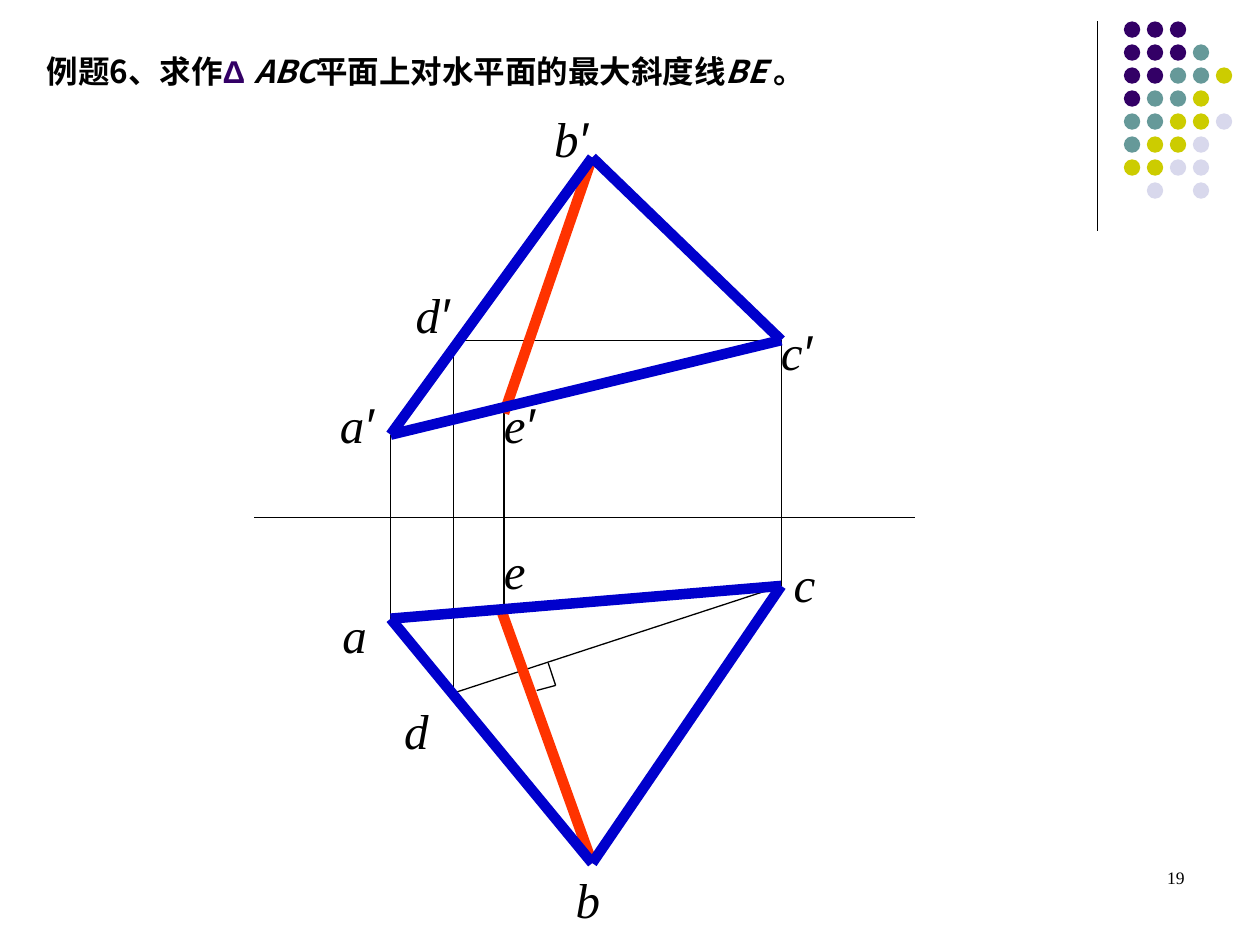
from lxml import etree
from pptx import Presentation
from pptx.dml.color import RGBColor
from pptx.enum import shapes, text
from pptx.oxml.ns import qn
from pptx.util import Inches, Pt

BLACK = RGBColor(0x00, 0x00, 0x00)
PURPLE = RGBColor(0x33, 0x00, 0x66)
TEAL = RGBColor(0x66, 0x99, 0x99)
LIME = RGBColor(0xCC, 0xCC, 0x00)
LAVENDER = RGBColor(0xD8, 0xD8, 0xEC)
BLUE = RGBColor(0x00, 0x00, 0xCC)
RED = RGBColor(0xFF, 0x33, 0x00)

SERIF, SANS, CJK = "Times New Roman", "Arial", "Noto Sans CJK SC"

DOT_COLORS = {"P": PURPLE, "T": TEAL, "Y": LIME, "L": LAVENDER}
DOT_ROWS = ["PPP", "PPPT", "PPTTY", "PTTY", "TTYYL", "TYYL", "YYLL", " L L"]

TITLE_RUNS = [
    ("例题6、求作", CJK, BLACK, False),
    ("Δ ", SANS, PURPLE, False),
    ("ABC", CJK, BLACK, True),
    ("平面上对水平面的最大斜度线", CJK, BLACK, False),
    ("BE ", CJK, BLACK, True),
    ("。", CJK, BLACK, False),
]

# Inches from the top left corner of the projection drawing
POINTS = {
    "a′": (1.1, 2.65), "b′": (2.7, 0.45), "c′": (4.2, 1.9),
    "d′": (1.6, 1.9), "e′": (2, 2.48),
    "a": (1.1, 4.11), "b": (2.7, 6.05), "c": (4.2, 3.85),
    "d": (1.6, 4.7), "e": (1.97, 4.02),
}
LABELS = {
    "a′": (0.6, 2.28), "b′": (2.3, 0.01), "c′": (4.1, 1.7),
    "d′": (1.2, 1.41), "e′": (1.9, 2.28),
    "a": (0.62, 3.95), "b": (2.47, 6.05), "c": (4.2, 3.54),
    "d": (1.11, 4.71), "e": (1.9, 3.44),
}
CONSTRUCTION = [("d", "c"), ("d′", "c′"), ("d′", "d"), ("a′", "a"), ("c′", "c")]
STEEPEST = [("e′", "b′"), ("b", "e")]
TRIANGLES = [("a′", "b′"), ("b′", "c′"), ("a′", "c′"),
             ("a", "b"), ("b", "c"), ("a", "c")]
GROUND_LINE = [(0.02, 3.31), (5.26, 3.31)]
E_PROJECTOR = [(2, 2.38), (2, 4.02)]
RIGHT_ANGLE = [(2.35, 4.46), (2.41, 4.64), (2.26, 4.68)]


def add_segment(slide, start, end, color=BLACK, width=0.75):
    segment = slide.shapes.add_connector(
        shapes.MSO_CONNECTOR.STRAIGHT, *start, *end)
    segment.line.color.rgb = color
    segment.line.width = Pt(width)
    etree.SubElement(segment._element.spPr, qn("a:effectLst"))


def add_text_box(slide, left, top, width, height):
    box = slide.shapes.add_textbox(left, top, width, height)
    box.text_frame.word_wrap = True
    return box.text_frame


def add_title(slide, left, top, width, height):
    title = slide.shapes.title
    title.left, title.top, title.width, title.height = left, top, width, height
    frame = title.text_frame
    frame.word_wrap = False
    frame.auto_size = text.MSO_AUTO_SIZE.SHAPE_TO_FIT_TEXT
    frame.vertical_anchor = text.MSO_ANCHOR.TOP
    line = frame.paragraphs[0]
    line.alignment = text.PP_ALIGN.LEFT
    line.font.size = Pt(18)
    line.font.bold = True
    for words, face, color, italic in TITLE_RUNS:
        run = line.add_run()
        run.text = words
        run.font.name = face
        run.font.color.rgb = color
        run.font.italic = italic
        east_asian = etree.SubElement(run.font._element, qn("a:ea"))
        east_asian.set("typeface", CJK)


def add_corner_dots(slide, left, top, width, height):
    """Vertical rule with a field of coloured dots to its right."""
    add_segment(slide, (left, top), (left, top + height))
    size = Inches(0.13)
    first = left + Inches(0.21)
    pitch = (left + width - size - first) / 4
    for row, codes in enumerate(DOT_ROWS):
        for column, code in enumerate(codes):
            if code == " ":
                continue
            dot = slide.shapes.add_shape(
                shapes.MSO_SHAPE.OVAL, int(first + column * pitch),
                int(top + row * pitch), size, size)
            dot.shadow.inherit = False
            dot.fill.solid()
            dot.fill.fore_color.rgb = DOT_COLORS[code]
            dot.line.fill.background()


def add_projections(slide, left, top):
    """Front and top views of the triangle with its steepest line."""
    def place(point):
        return left + Inches(point[0]), top + Inches(point[1])

    def join(pairs, color=BLACK, width=0.75):
        for start, end in pairs:
            add_segment(slide, place(POINTS[start]), place(POINTS[end]),
                        color, width)

    join(CONSTRUCTION)
    for chain in (GROUND_LINE, E_PROJECTOR, RIGHT_ANGLE):
        for start, end in zip(chain, chain[1:]):
            add_segment(slide, place(start), place(end))
    join(STEEPEST, RED, 6)
    join(TRIANGLES, BLUE, 6)

    for name, corner in LABELS.items():
        frame = add_text_box(slide, *place(corner), Inches(0.7), Inches(0.57))
        frame.auto_size = text.MSO_AUTO_SIZE.SHAPE_TO_FIT_TEXT
        label = frame.paragraphs[0]
        label.font.size = Pt(28)
        label.font.italic = True
        label.font.color.rgb = BLACK
        for character in name:
            run = label.add_run()
            run.text = character
            run.font.name = SANS if character == "′" else SERIF


def add_page_number(slide, left, top, width, height):
    number = add_text_box(slide, left, top, width, height).paragraphs[0]
    number.text = "19"
    number.alignment = text.PP_ALIGN.RIGHT
    number.font.size = Pt(10)
    number.font.name = SERIF
    number.font.color.rgb = BLACK


def main():
    deck = Presentation()
    deck.slide_width, deck.slide_height = Inches(10), Inches(7.5)
    slide = deck.slides.add_slide(deck.slide_layouts[5])
    add_corner_dots(slide, Inches(8.71), Inches(0.17), Inches(1.07), Inches(1.66))
    add_projections(slide, Inches(2), Inches(0.8))
    add_title(slide, Inches(0.27), Inches(0.36), Inches(6.64), Inches(0.4))
    add_page_number(slide, Inches(7.17), Inches(6.83), Inches(2.33), Inches(0.5))
    deck.save("out.pptx")


if __name__ == "__main__":
    main()
